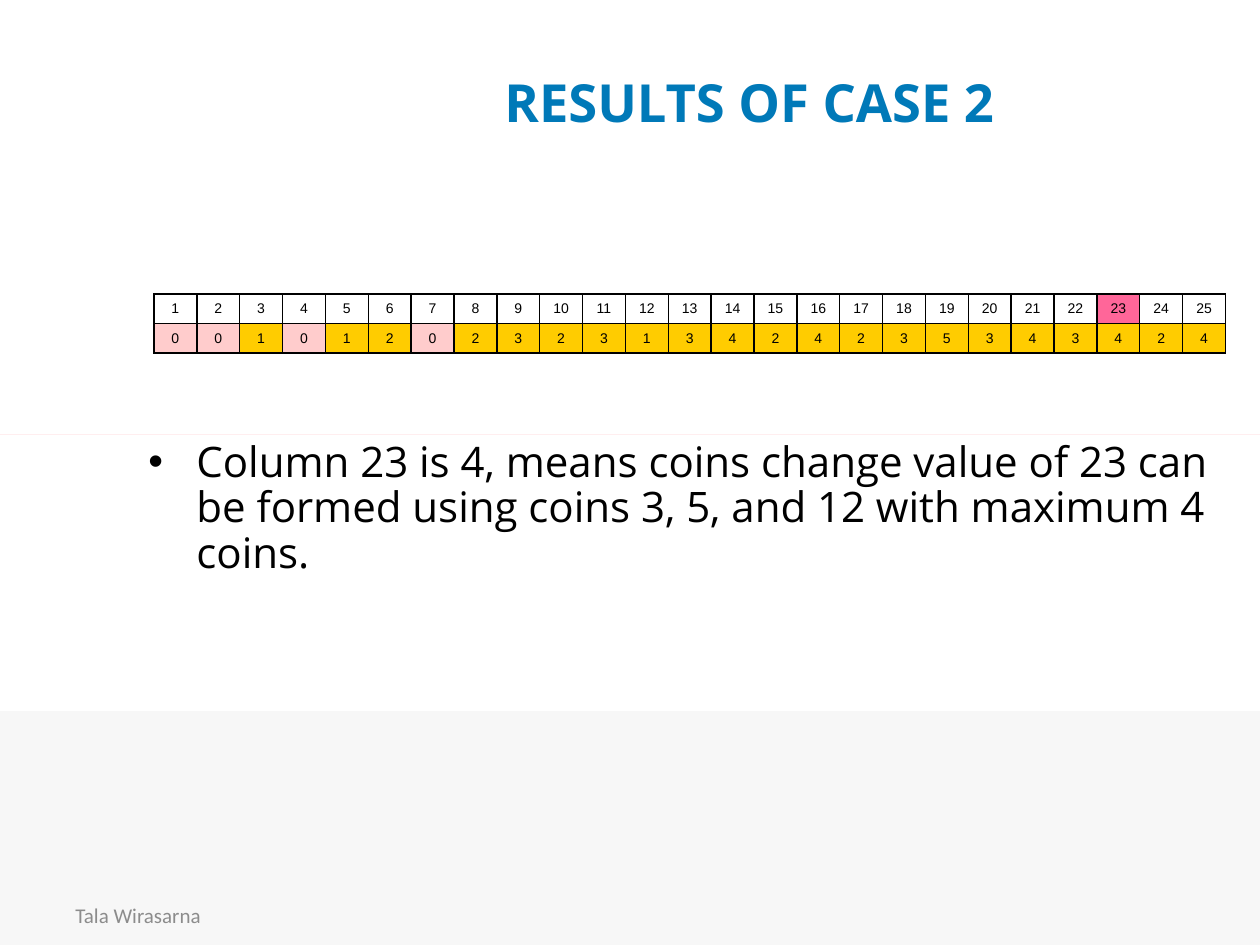
from dataclasses import dataclass
from lxml.etree import SubElement
from pptx import Presentation
from pptx.dml.color import RGBColor as Rgb
from pptx.enum.shapes import MSO_SHAPE as Kind
from pptx.enum.text import MSO_ANCHOR as Anchor, PP_ALIGN as Align
from pptx.oxml.ns import qn
from pptx.util import Emu, Pt


@dataclass(frozen=True)
class Theme:
    band: str = "F7F7F7"
    foot: str = "8C8C8C"
    head: str = "0079B8"
    ink: str = "000000"
    rule: str = "FF7C80"
    plain: str = "FFFFFF"
    mark: str = "FF6699"
    none: str = "FFCCCC"
    some: str = "FFCC00"
    sans: str = "Open Sans"
    foot_font: str = "Calibri"
    grid_font: str = "Arial"
    head_size: int = 30
    body_size: int = 24
    foot_size: int = 12
    grid_size: int = 8


def px(n):
    return Emu(round(n * 914400 / 126))


class Deck:
    def __init__(self, theme):
        self.theme = theme
        self.file = Presentation()
        self.file.slide_width, self.file.slide_height = px(1260), px(945)
        self.slide = self.file.slides.add_slide(self.file.slide_layouts[6])

    def style(self, para, font, size, color, bold=False):
        face = para.font
        face.name, face.size, face.bold = font, Pt(size), bold
        face.color.rgb = Rgb.from_string(color)

    def rect(self, box, color):
        shape = self.slide.shapes.add_shape(Kind.RECTANGLE, *map(px, box))
        shape.shadow.inherit = False
        shape.fill.solid()
        shape.fill.fore_color.rgb = Rgb.from_string(color)
        shape.line.fill.background()

    def text(self, box, words, font, size, color, bold=False,
             align=Align.LEFT, anchor=Anchor.MIDDLE):
        frame = self.slide.shapes.add_textbox(*map(px, box)).text_frame
        frame.word_wrap = True
        frame.vertical_anchor = anchor
        para = frame.paragraphs[0]
        para.text, para.alignment = words, align
        self.style(para, font, size, color, bold)
        return para

    def bullet(self, box, words, font, size, color, indent):
        para = self.text(box, words, font, size, color, anchor=Anchor.TOP)
        para.line_spacing, para.space_before = 0.9, Pt(size * 0.2)
        props = para._p.get_or_add_pPr()
        props.set("marL", str(px(indent)))
        props.set("indent", str(-px(indent)))
        SubElement(props, qn("a:buFont"), typeface="Arial")
        SubElement(props, qn("a:buChar"), char="•")

    def border(self, cell):
        props = cell._tc.get_or_add_tcPr()
        for i, side in enumerate(("lnL", "lnR", "lnT", "lnB")):
            line = props.makeelement(qn(f"a:{side}"), {"w": str(Pt(1))})
            fill = SubElement(line, qn("a:solidFill"))
            SubElement(fill, qn("a:srgbClr"), val=self.theme.ink)
            props.insert(i, line)

    def table(self, box, rows, paint):
        count, wide = len(rows), len(rows[0])
        grid = self.slide.shapes.add_table(count, wide, *map(px, box)).table
        for col in grid.columns:
            col.width = px(box[2] / wide)
        for r, row in enumerate(rows):
            grid.rows[r].height = px(box[3] / count)
            for c, value in enumerate(row):
                cell = grid.cell(r, c)
                cell.margin_left = cell.margin_right = 0
                cell.margin_top = cell.margin_bottom = 0
                cell.vertical_anchor = Anchor.MIDDLE
                cell.fill.solid()
                cell.fill.fore_color.rgb = Rgb.from_string(paint(r, value))
                para = cell.text_frame.paragraphs[0]
                para.text, para.alignment = str(value), Align.CENTER
                self.style(para, self.theme.grid_font,
                           self.theme.grid_size, self.theme.ink)
                self.border(cell)


look = Theme()
deck = Deck(look)
sums = list(range(1, 26))
coins = [0, 0, 1, 0, 1, 2, 0, 2, 3, 2, 3, 1, 3,
         4, 2, 4, 2, 3, 5, 3, 4, 3, 4, 2, 4]
target = 23


def paint(row, value):
    if row == 0:
        return look.mark if value == target else look.plain
    return look.some if value else look.none


deck.rect((0, 711, 1260, 234), look.band)
deck.text((63, 890, 294, 50), "Tala Wirasarna", look.foot_font,
          look.foot_size, look.foot)
deck.text((154, 62, 1191, 79), "RESULTS OF CASE 2", look.sans,
          look.head_size, look.head, True, Align.CENTER)
deck.bullet((136, 435, 1106, 323),
            "Column 23 is 4, means coins change value of 23 can be formed "
            "using coins 3, 5, and 12 with maximum 4 coins.",
            look.sans, look.body_size, look.ink, 48)
deck.rect((0, 435, 1260, 0), look.rule)
deck.table((154, 294, 1072, 59), [sums, coins], paint)
deck.file.save("out.pptx")
